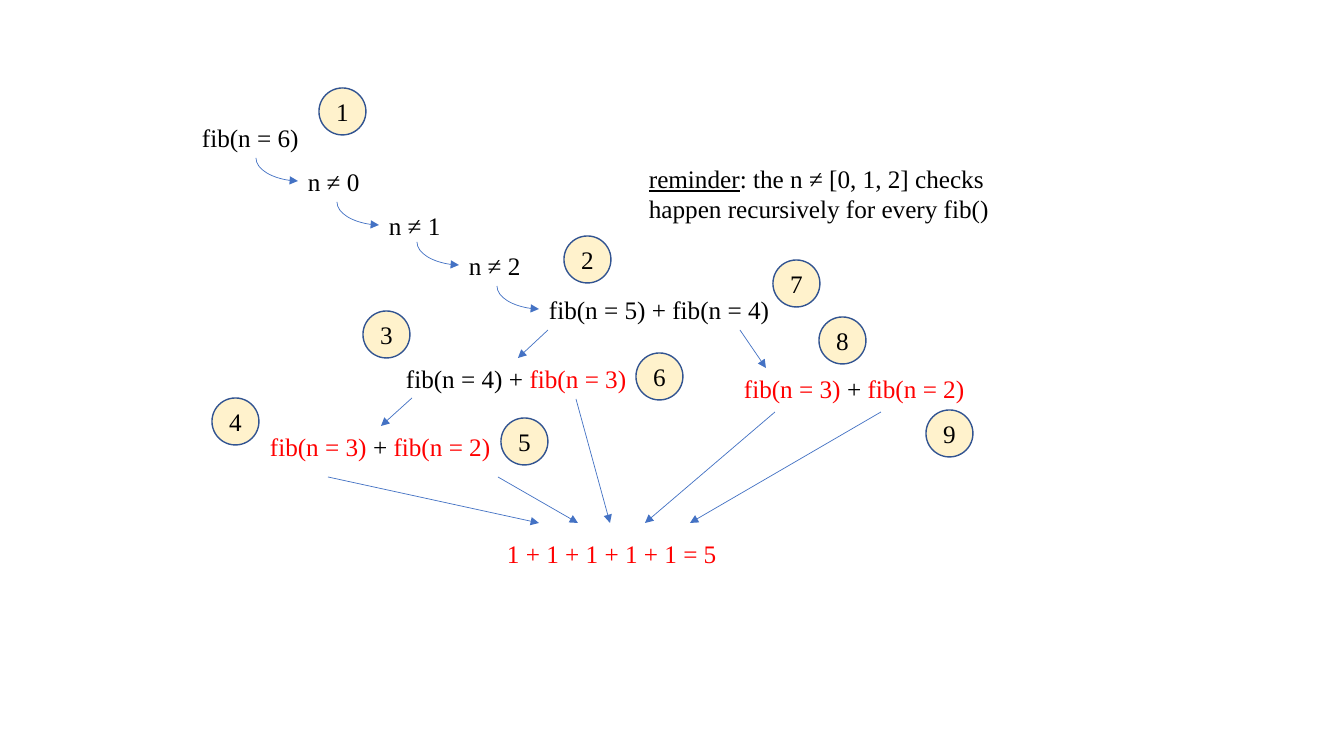
import dataclasses
import lxml.etree
import pptx
import pptx.dml.color
import pptx.enum.shapes
import pptx.enum.text
import pptx.oxml.ns
import pptx.util

SCALE = 914400 / 100.8
KIND = pptx.enum.shapes.MSO_CONNECTOR
ALIGN = pptx.enum.text.PP_ALIGN
ANCHOR = pptx.enum.text.MSO_ANCHOR


def color(code):
    return pptx.dml.color.RGBColor.from_string(code)


@dataclasses.dataclass(frozen=True)
class Theme:
    ink = color("000000")
    base = color("FF0000")
    arrow = color("4472C4")
    disc = color("FFF2CC")
    rim = color("325491")
    font = "Times New Roman"
    size = pptx.util.Pt(18)
    thin = pptx.util.Pt(0.5)
    edge = pptx.util.Pt(1)


THEME = Theme()
BASE = {"color": THEME.base}
LINE = {"underline": True}


def px(value):
    return pptx.util.Emu(round(value * SCALE))


def apply(target, form):
    for name, value in form.items():
        setattr(target, name, value)


def write(frame, runs, align=ALIGN.LEFT):
    para = frame.paragraphs[0]
    para.alignment = align
    for words, style in runs:
        form = {"name": THEME.font, "size": THEME.size, **style}
        tint = form.pop("color", THEME.ink)
        run = para.add_run()
        run.text = words
        apply(run.font, form)
        run.font.color.rgb = tint


def label(slide, left, top, width, runs, height=40, wrap=False):
    box = slide.shapes.add_textbox(px(left), px(top), px(width), px(height))
    box.text_frame.word_wrap = wrap
    write(box.text_frame, runs)


def arrow(slide, start, end, kind=KIND.STRAIGHT):
    link = slide.shapes.add_connector(kind, *map(px, (*start, *end)))
    link.line.color.rgb = THEME.arrow
    link.line.width = THEME.thin
    tail = lxml.etree.SubElement(link.line._get_or_add_ln(), pptx.oxml.ns.qn("a:tailEnd"))
    tail.set("type", "triangle")
    lxml.etree.SubElement(link._element.spPr, pptx.oxml.ns.qn("a:effectLst"))
    return link


def curve(slide, start, end):
    mid_x, mid_y = (start[0] + end[0]) / 2, (start[1] + end[1]) / 2
    half_w, half_h = (end[1] - start[1]) / 2, (end[0] - start[0]) / 2
    link = arrow(slide, (mid_x + half_w, mid_y - half_h),
                 (mid_x - half_w, mid_y + half_h), KIND.CURVE)
    shape = link._element.spPr
    shape.find(pptx.oxml.ns.qn("a:xfrm")).set("rot", "16200000")
    shape.find(pptx.oxml.ns.qn("a:prstGeom")).set("prst", "curvedConnector2")


def badge(slide, number, left, top):
    disc = slide.shapes.add_shape(pptx.enum.shapes.MSO_SHAPE.OVAL,
                                  px(left), px(top), px(47), px(47))
    disc.shadow.inherit = False
    disc.fill.solid()
    disc.fill.fore_color.rgb = THEME.disc
    disc.line.color.rgb = THEME.rim
    disc.line.width = THEME.edge
    apply(disc.text_frame, {"vertical_anchor": ANCHOR.MIDDLE, "word_wrap": True})
    write(disc.text_frame, [(str(number), {})], ALIGN.CENTER)


def main():
    deck = pptx.Presentation()
    apply(deck, {"slide_width": px(1344), "slide_height": px(756)})
    slide = deck.slides.add_slide(deck.slide_layouts[6])

    label(slide, 192, 117, 128, [("fib(n = 6)", {})], wrap=True)
    steps = [
        (298, 161, 75, "n ≠ 0"),
        (379, 205, 75, "n ≠ 1"),
        (459, 245, 75, "n ≠ 2"),
        (539, 289, 243, "fib(n = 5) + fib(n = 4)"),
    ]
    for left, top, width, words in steps:
        curve(slide, (left - 42, top - 3), (left, top + 20))
        label(slide, left, top, width, [(words, {})])

    pair = [("fib(n = 3) ", BASE), ("+ ", {}), ("fib(n = 2)", BASE)]
    label(slide, 396, 358, 243, [("fib(n = 4) + ", {}), ("fib(n = 3)", BASE)])
    for left, top in [(260, 426), (734, 368)]:
        label(slide, left, top, 243, pair)
    label(slide, 497, 533, 241, [("1 + 1 + 1 + 1 + 1 = 5", BASE)])
    label(slide, 639, 158, 389, [
        ("reminder", LINE),
        (": the n ≠ [0, 1, 2] checks happen recursively for every fib()", {}),
    ], height=72, wrap=True)

    calls = [((548, 330), (518, 358)), ((412, 398), (381, 426)), ((740, 330), (766, 368))]
    sums = [((328, 477), 539), ((498, 477), 578), ((576, 399), 610),
            ((775, 412), 645), ((881, 412), 690)]
    for start, end in calls + [(start, (goal, 523)) for start, goal in sums]:
        arrow(slide, start, end)

    spots = [(319, 88), (564, 236), (363, 311), (212, 398), (501, 418),
             (636, 353), (773, 260), (819, 317), (926, 410)]
    for number, spot in enumerate(spots, 1):
        badge(slide, number, *spot)

    deck.save("out.pptx")


main()
